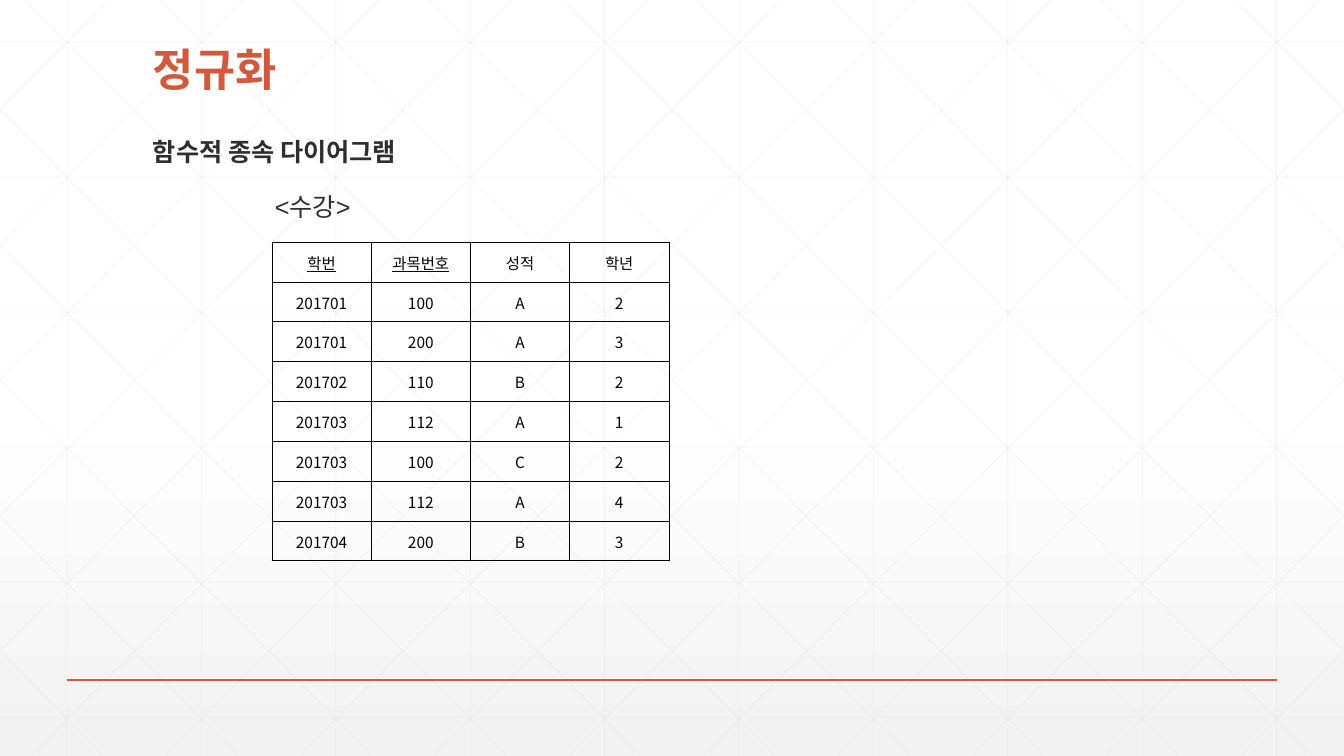
from lxml.etree import SubElement
from pptx import Presentation
from pptx.dml.color import RGBColor
from pptx.enum.shapes import MSO_CONNECTOR
from pptx.enum.text import MSO_ANCHOR, PP_ALIGN
from pptx.oxml import parse_xml
from pptx.oxml.ns import nsdecls, qn
from pptx.util import Pt

PIXEL = 914400 / 100.8
WIDTH, HEIGHT = 1344, 756

WHITE = RGBColor(0xFF, 0xFF, 0xFF)
PALE_GRAY = RGBColor(0xF2, 0xF2, 0xF2)
GRID_GRAY = RGBColor(0xD9, 0xD9, 0xD9)
ORANGE = RGBColor(0xD1, 0x5A, 0x3E)
DARK = RGBColor(0x2D, 0x2E, 0x2D)
BLACK = RGBColor(0x00, 0x00, 0x00)

HEADERS = ["학번", "과목번호", "성적", "학년"]
KEY_COLUMNS = 2
ENROLMENTS = [
    ["201701", "100", "A", "2"],
    ["201701", "200", "A", "3"],
    ["201702", "110", "B", "2"],
    ["201703", "112", "A", "1"],
    ["201703", "100", "C", "2"],
    ["201703", "112", "A", "4"],
    ["201704", "200", "B", "3"],
]


def px(length):
    """Turn pixels into EMU."""
    return round(length * PIXEL)


def add_line(shapes, start, end, color, weight, opacity=100):
    """Draw a straight line without shadow between two points."""
    line = shapes.add_connector(MSO_CONNECTOR.STRAIGHT, *map(px, start + end))
    line.line.color.rgb = color
    line.line.width = Pt(weight)
    properties = line._element.spPr
    SubElement(properties, qn("a:effectLst"))
    if opacity < 100:
        tint = properties.find(".//" + qn("a:srgbClr"))
        SubElement(tint, qn("a:alpha"), val=str(opacity * 1000))


def fill_background(page):
    """Fade the page from white to pale gray in its lower half."""
    fill = page.background.fill
    fill.gradient()
    fill.gradient_angle = 270
    for stop, position, color in zip(fill.gradient_stops, (0.53, 1), (WHITE, PALE_GRAY)):
        stop.position = position
        stop.color.rgb = color


def grid_lines(left, top, width, height):
    """Yield the ends of the straight and diagonal grid lines, cut to the box."""
    right, bottom = left + width, top + height
    column_step, row_step, run = width / 10, 135, height - 5
    for column in range(10):
        x = left + 67 + column * column_step
        yield (x, top), (x, bottom)
    for row in range(6):
        y = top + 42 + row * row_step
        yield (left, y), (right, y)
    slope = height / run
    for diagonal in range(-5, 10):
        x = 25 + diagonal * column_step
        start, end = max(x, 0), min(x + run, width)
        y_start, y_end = top + (start - x) * slope, top + (end - x) * slope
        yield (left + start, y_start), (left + end, y_end)
        yield (right - start, y_start), (right - end, y_end)


def add_grid(page, box):
    """Draw the faint grid as one group."""
    group = page.shapes.add_group_shape()
    for start, end in grid_lines(*box):
        add_line(group.shapes, start, end, GRID_GRAY, 0.5, opacity=25)


def add_text(page, box, texts, size, color, anchor=MSO_ANCHOR.TOP):
    """Add a text box in the heading font and return its paragraphs."""
    frame = page.shapes.add_textbox(*map(px, box)).text_frame
    frame.word_wrap = True
    frame.vertical_anchor = anchor
    frame.text = "\n".join(texts)
    for para in frame.paragraphs:
        para.line_spacing = 0.9
        para.font.name = "Arial"
        para.font.size = Pt(size)
        para.font.bold = True
        para.font.color.rgb = color
    return frame.paragraphs


def add_subject(page, box):
    """Add the subheading and, indented below it, the name of the table."""
    _, caption = add_text(page, box, ["함수적 종속 다이어그램", "<수강>"], 18, DARK)
    caption.font.bold = False
    caption.space_before = Pt(20)
    caption._p.get_or_add_pPr().set("marL", str(px(122)))


def style_cell(cell, underlined):
    """Centre the cell's text and give it thin black borders and no fill."""
    cell.vertical_anchor = MSO_ANCHOR.MIDDLE
    cell.margin_left = cell.margin_right = cell.margin_top = px(1)
    cell.margin_bottom = 0
    para = cell.text_frame.paragraphs[0]
    para.alignment = PP_ALIGN.CENTER
    para.font.name = "Noto Sans CJK KR"
    para.font.size = Pt(11)
    para.font.color.rgb = BLACK
    para.font.underline = underlined
    for side in ("lnL", "lnR", "lnT", "lnB"):
        cell._tc.get_or_add_tcPr().append(parse_xml(
            f'<a:{side} {nsdecls("a")} w="{Pt(0.5)}"><a:solidFill>'
            f'<a:srgbClr val="{BLACK}"/></a:solidFill></a:{side}>'))
    cell.fill.background()


def add_enrolment_table(page, box):
    """Add the enrolment table with equal rows and columns, keys underlined."""
    rows = [HEADERS] + ENROLMENTS
    left, top, width, height = map(px, box)
    table = page.shapes.add_table(
        len(rows), len(HEADERS), left, top, width, height).table
    table.first_row = table.horz_banding = False
    for column in table.columns:
        column.width = width // len(HEADERS)
    for row in table.rows:
        row.height = height // len(rows)
    for row_index, values in enumerate(rows):
        for column_index, value in enumerate(values):
            cell = table.cell(row_index, column_index)
            cell.text = value
            style_cell(cell, row_index == 0 and column_index < KEY_COLUMNS)


def build_slide(deck):
    """Build the normalization slide."""
    page = deck.slides.add_slide(deck.slide_layouts[6])
    fill_background(page)
    add_grid(page, (0, 0, WIDTH, HEIGHT))
    add_line(page.shapes, (67, 680), (1277, 680), ORANGE, 1)
    add_text(page, (143, 39, 1058, 62), ["정규화"], 32, ORANGE, MSO_ANCHOR.BOTTOM)
    add_subject(page, (143, 135, 1166, 102))
    add_enrolment_table(page, (272, 242, 397, 319))


deck = Presentation()
deck.slide_width, deck.slide_height = px(WIDTH), px(HEIGHT)
build_slide(deck)
deck.save("out.pptx")
